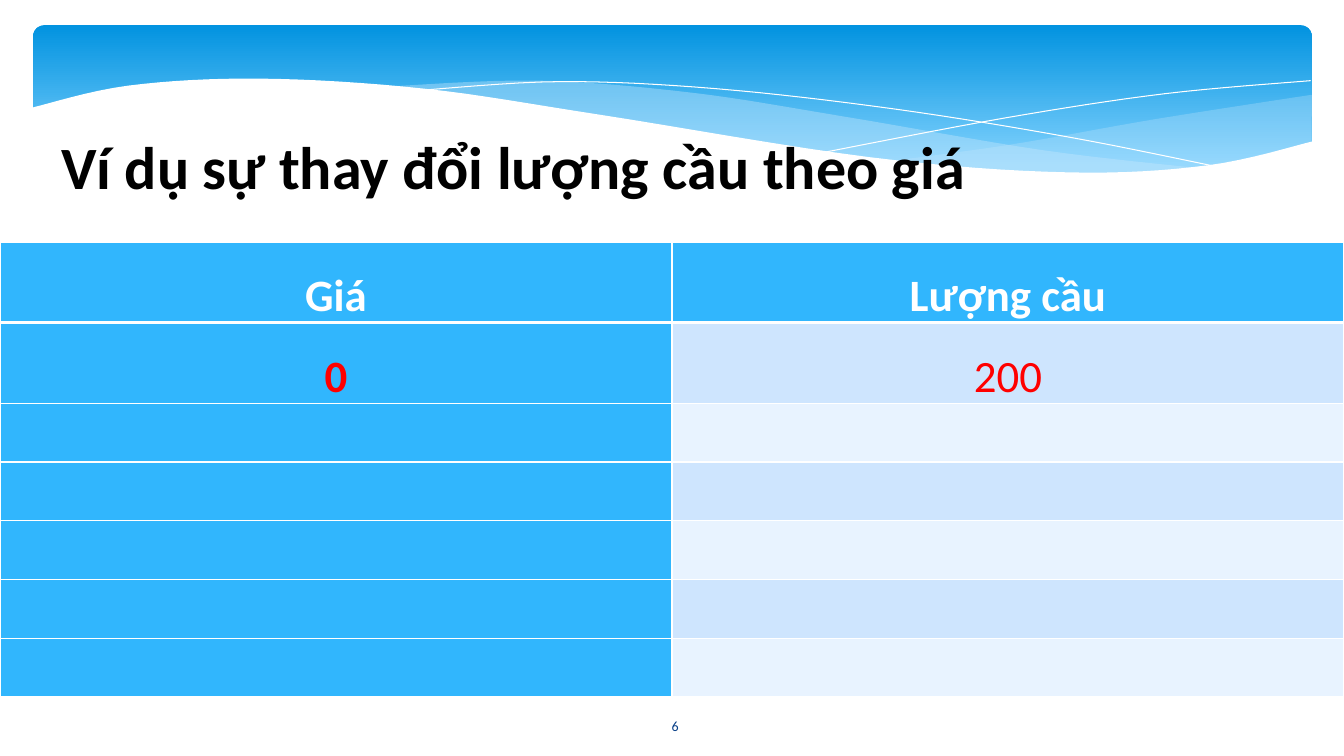
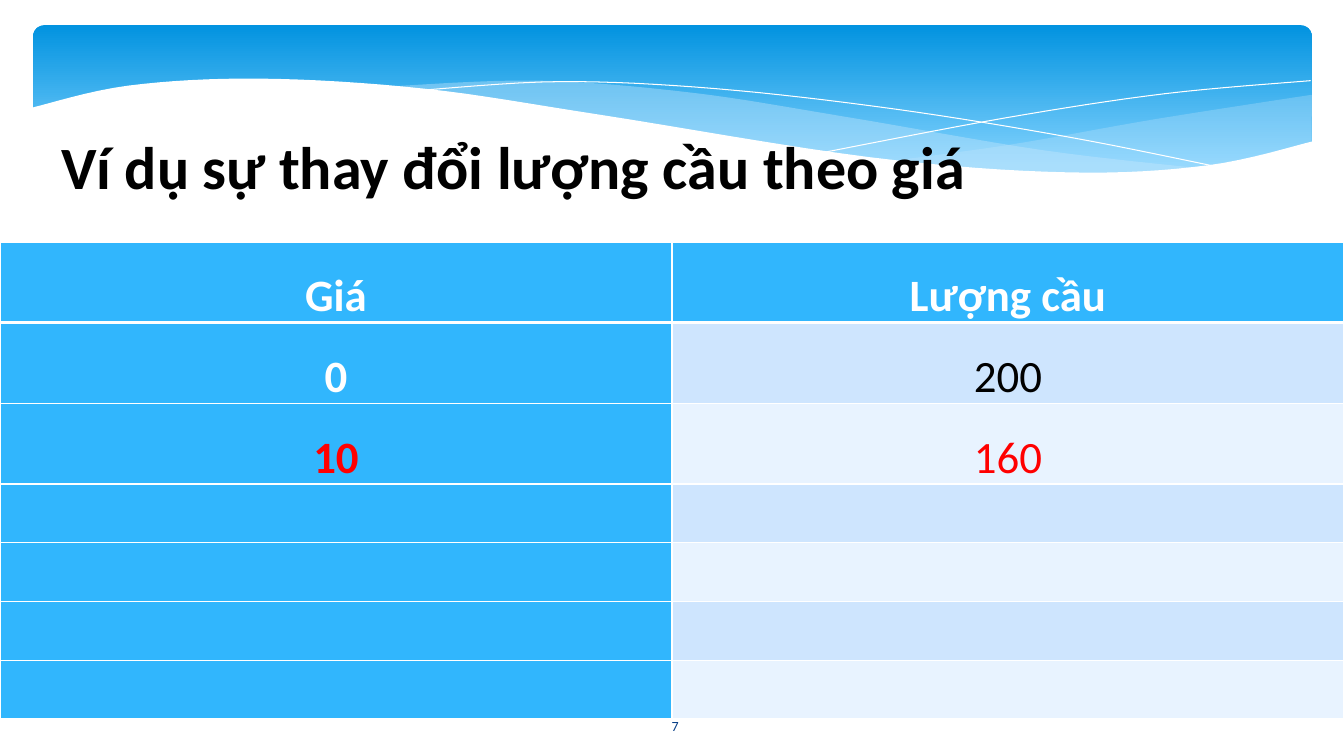
from dataclasses import dataclass
from typing import Optional

from lxml.etree import SubElement
from pptx import Presentation
from pptx.dml.color import RGBColor
from pptx.enum.shapes import MSO_SHAPE
from pptx.enum.text import MSO_ANCHOR, PP_ALIGN
from pptx.oxml.ns import qn
from pptx.slide import Slide
from pptx.table import _Cell
from pptx.text.text import _Paragraph
from pptx.util import Inches, Pt

Point = tuple[float, float]

FONT = "Calibri"
WHITE = "FFFFFF"
BLACK = "000000"
RED = "FF0000"
NAVY = "073E87"
BLUE = "31B6FD"
MIST = "C6E7FC"
BAND_TOP = "0293E0"
BAND_BOTTOM = "83D3FE"
STRIPES = ("CEE5FE", "E8F3FF")

TITLE = "Ví dụ sự thay đổi lượng cầu theo giá"
HEADERS = ("Giá", "Lượng cầu")
DEMAND = (("0", "200"), ("10", "160"))
ROW_COUNT = 7
SLIDE_WIDTH = Inches(13.33)
CURVE_STEPS = 8


@dataclass(frozen=True)
class Wave:
    edges: tuple[tuple[Point, ...], ...]
    fill: Optional[str] = None
    opacity: int = 100


@dataclass(frozen=True)
class Style:
    size: float
    color: str
    bold: bool = False


@dataclass(frozen=True)
class DemandSlide:
    number: int
    shown: int


WAVES = (
    Wave((
        ((13.01, 0.94), (11.47, 1.18), (10.05, 1.43), (8.82, 1.6)),
        ((8.82, 1.6), (9.93, 1.69), (10.99, 1.72), (11.96, 1.65), (13.01, 1.42)),
    ), MIST, 29),
    Wave((
        ((11.9, 1.67), (10.34, 1.49), (8.39, 1.16), (6.86, 0.92),
         (5.32, 0.8), (3.82, 0.86)),
        ((3.82, 0.86), (5.99, 1.16), (8.02, 1.5), (9.63, 1.68),
         (11.04, 1.73), (11.9, 1.67)),
    ), MIST, 40),
    Wave((((4.12, 0.9), (5.55, 0.81), (7.1, 0.88), (8.86, 1.08),
           (10.6, 1.36), (12.1, 1.66)),)),
    Wave((((8.18, 1.51), (9.97, 1.17), (11.55, 0.93), (13, 0.8)),)),
    Wave((
        ((13.03, 1.4), (11.98, 1.64), (10.58, 1.71), (8.63, 1.56),
         (5.96, 1.14), (4.21, 0.88), (2.58, 0.78), (1.27, 0.85), (0.31, 1.07)),
        ((0.31, 2.24), (13.03, 2.24)),
    ), WHITE),
)


def rgb(color: str) -> RGBColor:
    return RGBColor.from_string(color)


def spline(a: float, b: float, c: float, d: float, t: float) -> float:
    return b + t / 2 * (c - a + t * (2 * a - 5 * b + 4 * c - d
                                     + t * (3 * (b - c) + d - a)))


def smooth(knots: tuple[Point, ...]) -> list[Point]:
    padded = (knots[0], *knots, knots[-1])
    points = [knots[0]]
    for window in zip(padded, padded[1:], padded[2:], padded[3:]):
        xs, ys = zip(*window)
        for step in range(1, CURVE_STEPS + 1):
            t = step / CURVE_STEPS
            points.append((spline(*xs, t), spline(*ys, t)))
    return points


def add_run(p: _Paragraph, text: str, style: Style) -> None:
    p.alignment = PP_ALIGN.CENTER
    r = p.add_run()
    r.text = text
    r.font.name = FONT
    r.font.size = Pt(style.size)
    r.font.bold = style.bold
    r.font.color.rgb = rgb(style.color)


def add_text(s: Slide, box: tuple[float, float, float, float], text: str,
             style: Style, anchor: MSO_ANCHOR = MSO_ANCHOR.TOP) -> None:
    tf = s.shapes.add_textbox(*map(Inches, box)).text_frame
    tf.word_wrap = True
    tf.vertical_anchor = anchor
    add_run(tf.paragraphs[0], text, style)


def add_wave(s: Slide, wave: Wave) -> None:
    closed = wave.fill is not None
    points = [(Inches(x), Inches(y)) for edge in wave.edges for x, y in smooth(edge)]
    builder = s.shapes.build_freeform(*points[0])
    builder.add_line_segments(points[1:], close=closed)
    sp = builder.convert_to_shape()
    sp.shadow.inherit = False
    if not closed:
        sp.fill.background()
        sp.line.color.rgb = rgb(WHITE)
        sp.line.width = Pt(0)
        return
    sp.line.fill.background()
    sp.fill.solid()
    sp.fill.fore_color.rgb = rgb(wave.fill)
    if wave.opacity < 100:
        color = sp._element.spPr.find(qn("a:solidFill"))[0]
        SubElement(color, qn("a:alpha"), val=str(wave.opacity * 1000))


def add_band(s: Slide) -> None:
    sp = s.shapes.add_shape(MSO_SHAPE.ROUNDED_RECTANGLE, Inches(0.33),
                            Inches(0.25), Inches(12.68), Inches(1.56))
    sp.adjustments[0] = 0.07
    sp.shadow.inherit = False
    sp.line.fill.background()
    sp.fill.gradient()
    sp.fill.gradient_angle = 270
    stops = zip(sp.fill.gradient_stops, (BAND_TOP, BAND_BOTTOM), (0, 0.9))
    for stop, color, position in stops:
        stop.color.rgb = rgb(color)
        stop.position = position
    for wave in WAVES:
        add_wave(s, wave)


def set_borders(cell: _Cell, top: float, bottom: float) -> None:
    tc_pr = cell._tc.get_or_add_tcPr()
    for side, width in (("L", 1), ("R", 1), ("T", top), ("B", bottom)):
        ln = SubElement(tc_pr, qn(f"a:ln{side}"), w=str(int(Pt(width))))
        fill = SubElement(ln, qn("a:solidFill"))
        SubElement(fill, qn("a:srgbClr"), val=WHITE)


def fill_cell(cell: _Cell, text: str, style: Style) -> None:
    cell.margin_left = cell.margin_right = Inches(0.07)
    cell.margin_top = cell.margin_bottom = 0
    p = cell.text_frame.paragraphs[0]
    p.line_spacing = 1.5
    p.space_after = Pt(8)
    add_run(p, text, style)


def add_demand_table(s: Slide, shown: int) -> None:
    row_height = Inches(4.08) // ROW_COUNT
    table = s.shapes.add_table(ROW_COUNT, len(HEADERS), 0, Inches(2.4),
                               SLIDE_WIDTH, row_height * ROW_COUNT).table
    rows = (HEADERS, *DEMAND[:shown])
    for i in range(ROW_COUNT):
        table.rows[i].height = row_height
        for j in range(len(HEADERS)):
            cell = table.cell(i, j)
            accent = i == 0 or j == 0
            set_borders(cell, 3 if i == 1 else 1, 3 if i == 0 else 1)
            cell.fill.solid()
            cell.fill.fore_color.rgb = rgb(BLUE if accent else STRIPES[(i - 1) % 2])
            if i < len(rows):
                color = RED if i == shown else WHITE if accent else BLACK
                fill_cell(cell, rows[i][j], Style(32, color, accent))


def add_demand_slide(prs: Presentation, content: DemandSlide) -> None:
    s = prs.slides.add_slide(prs.slide_layouts[6])
    add_band(s)
    add_text(s, (5.85, 7, 1.69, 0.4), str(content.number), Style(10, NAVY),
             MSO_ANCHOR.MIDDLE)
    add_text(s, (-0.33, 1.24, 10.84, 1.37), TITLE, Style(42.9, BLACK, True))
    add_demand_table(s, content.shown)


def main() -> None:
    prs = Presentation()
    prs.slide_width = SLIDE_WIDTH
    prs.slide_height = Inches(7.5)
    for content in (DemandSlide(6, 1), DemandSlide(7, 2)):
        add_demand_slide(prs, content)
    prs.save("out.pptx")


if __name__ == "__main__":
    main()
